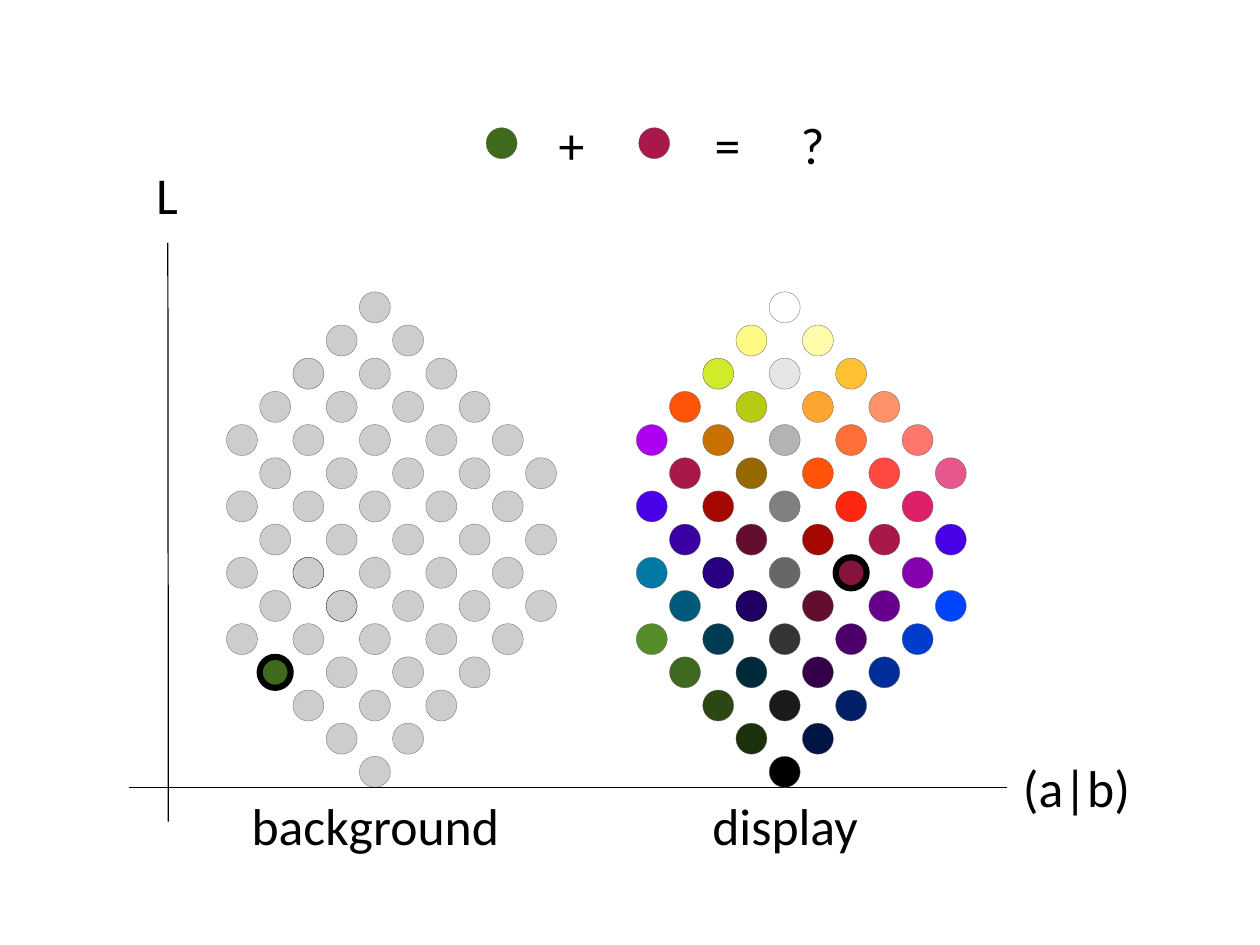
from dataclasses import dataclass

from lxml.etree import SubElement
from pptx import Presentation
from pptx.dml.color import RGBColor as Color
from pptx.enum.shapes import MSO_CONNECTOR as Connector, MSO_SHAPE as Shape
from pptx.enum.text import MSO_ANCHOR as Anchor, MSO_AUTO_SIZE as AutoSize, PP_ALIGN as Align
from pptx.oxml.ns import qn
from pptx.util import Pt


@dataclass(frozen=True)
class Theme:
    font: str = "Calibri"
    label_size: float = 42
    ink: str = "000000"
    neutral: str = "CDCDCD"
    outline: str = "676767"
    dark_outline: str = "4D4D4D"
    green: str = "3F691D"
    crimson: str = "A8184B"
    hairline: float = 0.25
    axis_width: float = 1
    highlight_width: float = 5


# Page and lattice geometry in points
PAGE_WIDTH, PAGE_HEIGHT = 1023.84, 767.52
DOT = 25.2
COLUMN_STEP, ROW_STEP = 27, 26.95
LATTICE_TOP = 237
BACKGROUND_APEX, DISPLAY_APEX = 292, 625
LABEL_HEIGHT = 50.4

# Display colours, lightest row first
DISPLAY_ROWS = [row.split() for row in (
    "FFFFFF",
    "FFFA83 FFFCAB",
    "D1EB2B E6E6E6 FDC131",
    "FF5308 B7CA14 FDA531 FE936A",
    "AE00F0 C97100 B3B3B3 FE7038 FF766F",
    "A8184B 956900 FF5308 FE4940 E6578D",
    "4A00E6 A40800 808080 FF2712 DD2067",
    "3B00A4 640E2F A40800 A8184B 4A00E6",
    "0079A5 290082 676767 86133E 8500AF",
    "005A7C 200063 640E2F 66008D 0044FE",
    "558E28 003C52 343434 4D0069 003DCC",
    "3F691E 002939 340047 002D99",
    "2B4714 1A1A1A 001F67",
    "1D300D 001445",
    "000000",
)]


class Diagram:
    def __init__(self, page, theme):
        self.page = page
        self.theme = theme

    def dot(self, left, top, fill, outline=None, width=None):
        shape = self.page.shapes.add_shape(Shape.OVAL, Pt(left), Pt(top), Pt(DOT), Pt(DOT))
        shape.shadow.inherit = False
        shape.fill.solid()
        shape.fill.fore_color.rgb = Color.from_string(fill)
        shape.line.color.rgb = Color.from_string(outline or self.theme.outline)
        shape.line.width = Pt(width or self.theme.hairline)

    def axis(self, x1, y1, x2, y2):
        line = self.page.shapes.add_connector(Connector.STRAIGHT, Pt(x1), Pt(y1), Pt(x2), Pt(y2))
        line.line.color.rgb = Color.from_string(self.theme.ink)
        line.line.width = Pt(self.theme.axis_width)
        SubElement(line.element.spPr, qn("a:effectLst"))

    def label(self, text, *, left, top, width, size=None, color=None, align=Align.CENTER):
        box = self.page.shapes.add_textbox(Pt(left), Pt(top), Pt(width), Pt(LABEL_HEIGHT))
        frame = box.text_frame
        frame.margin_left = frame.margin_right = frame.margin_top = frame.margin_bottom = 0
        frame.vertical_anchor = Anchor.MIDDLE
        frame.word_wrap = False
        frame.auto_size = AutoSize.SHAPE_TO_FIT_TEXT
        para = frame.paragraphs[0]
        para.alignment = align
        span = para.add_run()
        span.text = text
        span.font.name = self.theme.font
        span.font.size = Pt(size or self.theme.label_size)
        span.font.color.rgb = Color.from_string(color or self.theme.ink)

    def lattice(self, apex, rows, highlight):
        """Draw the rows from the bottom up; highlight is a (row, place) pair."""
        theme = self.theme
        outlines = {(2, 0): theme.dark_outline, (8, 1): theme.ink, (9, 1): theme.ink}
        last = len(rows) - 1
        for row in range(last, -1, -1):
            # Odd rows sit one half-step in from the even ones
            indent = min(row, last - row, 4 - row % 2)
            for place, fill in enumerate(rows[row]):
                left = apex + (2 * place - indent) * COLUMN_STEP
                top = LATTICE_TOP + row * ROW_STEP
                if (row, place) == highlight:
                    self.dot(left, top, fill, theme.ink, theme.highlight_width)
                else:
                    self.dot(left, top, fill, outlines.get((row, place)))


def main():
    deck = Presentation()
    deck.slide_width, deck.slide_height = Pt(PAGE_WIDTH), Pt(PAGE_HEIGHT)
    page = deck.slides.add_slide(deck.slide_layouts[6])
    theme = Theme()
    diagram = Diagram(page, theme)

    # Background colours: all neutral but one
    background_rows = [[theme.neutral] * len(row) for row in DISPLAY_ROWS]
    background_rows[11][0] = theme.green
    diagram.lattice(BACKGROUND_APEX, background_rows, highlight=(11, 0))

    # Axes
    diagram.axis(136.4, 197.3, 136.8, 667.4)
    diagram.axis(105.1, 639.4, 817.9, 639.4)
    diagram.label("L", left=124.6, top=132.5, width=22.3)
    diagram.label("(a|b)", left=825.8, top=614.2, width=97.9)

    # Display colours
    diagram.lattice(DISPLAY_APEX, DISPLAY_ROWS, highlight=(8, 3))

    # Captions
    diagram.label("background", left=185.8, top=644.4, width=238.3)
    diagram.label("display", left=568.8, top=644.4, width=138.2)

    # Equation
    for left, fill in ((395, theme.green), (519, theme.crimson)):
        diagram.dot(left, 103.7, fill)
    for sign, left, width in (("+ ", 451.4, 35.3), ("= ", 578.2, 35.3), ("? ", 650.2, 29.5)):
        diagram.label(sign, left=left, top=91.4, width=width)

    deck.save("out.pptx")


if __name__ == "__main__":
    main()
